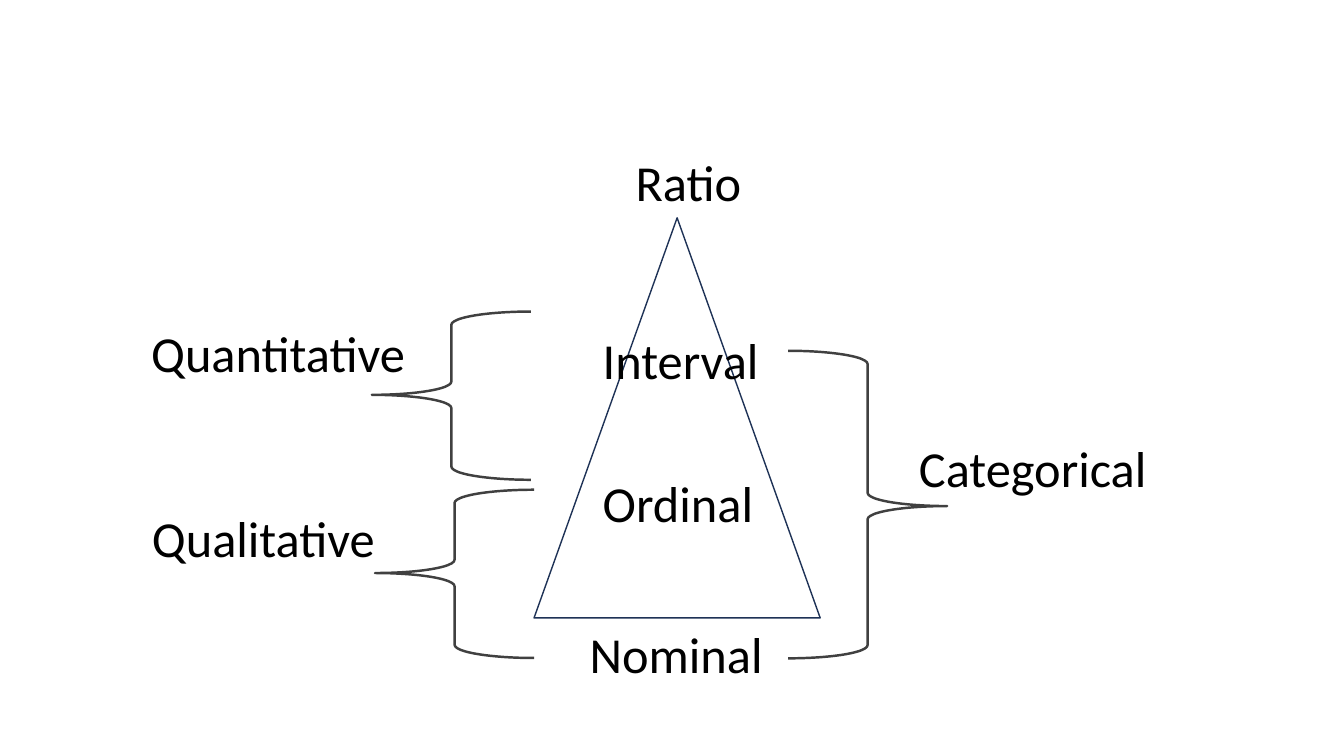
import pptx
import pptx.dml.color
import pptx.enum.shapes
import pptx.enum.text
import pptx.util

Cm = pptx.util.Cm
SHAPES = pptx.enum.shapes.MSO_SHAPE
LABEL_HEIGHT = 1.8
LEVEL_WIDTH = 4.93


def color(hex_string):
    return pptx.dml.color.RGBColor.from_string(hex_string)


def add_outline(group, kind, box, line_color, line_width):
    shape = group.shapes.add_shape(kind, *(Cm(length) for length in box))
    shape.shadow.inherit = False
    shape.fill.background()
    shape.line.color.rgb = color(line_color)
    shape.line.width = pptx.util.Pt(line_width)
    return shape


def add_label(group, text, left, top, width):
    label = group.shapes.add_textbox(Cm(left), Cm(top), Cm(width), Cm(LABEL_HEIGHT))
    frame = label.text_frame
    frame.word_wrap = True
    frame.auto_size = pptx.enum.text.MSO_AUTO_SIZE.SHAPE_TO_FIT_TEXT
    paragraph = frame.paragraphs[0]
    paragraph.text = text
    paragraph.font.name = "Calibri"
    paragraph.font.size = pptx.util.Pt(36)
    paragraph.font.color.rgb = color("000000")


def add_level_triangle(group, box):
    """Draw the triangle in the box, with the measurement levels from apex to base."""
    left, top, _, height = box
    add_outline(group, SHAPES.ISOSCELES_TRIANGLE, box, "1E3256", 1)
    levels = (
        ("Ratio", 2.31, -LABEL_HEIGHT),
        ("Interval", 1.48, 2.69),
        ("Ordinal", 1.48, 6.27),
        ("Nominal", 1.15, height),
    )
    for text, across, down in levels:
        add_label(group, text, left + across, top + down, LEVEL_WIDTH)


def add_data_type(group, box, text, across, down, label_width, rotation=0):
    """Draw a brace in the box and its label, offset from the box's corner."""
    left, top, _, _ = box
    brace = add_outline(group, SHAPES.RIGHT_BRACE, box, "404040", 1.75)
    brace.adjustments[0] = 0.083
    brace.adjustments[1] = 0.505
    brace.rotation = rotation
    add_label(group, text, left + across, top + down, label_width)


def main():
    presentation = pptx.Presentation()
    presentation.slide_width = Cm(33.87)
    presentation.slide_height = Cm(19.05)
    slide = presentation.slides.add_slide(presentation.slide_layouts[6])
    diagram = slide.shapes.add_group_shape()

    add_level_triangle(diagram, (13.46, 5.49, 7.21, 10.08))
    add_data_type(diagram, (19.86, 8.84, 4.01, 7.75), "Categorical", 3.05, 2.06, 6.68)
    add_data_type(diagram, (9.45, 12.34, 4.01, 4.24), "Qualitative", -5.87, 0.31, 6.68, 180)
    add_data_type(diagram, (9.37, 7.85, 4.01, 4.24), "Quantitative", -5.81, 0.15, 7.09, 180)

    presentation.save("out.pptx")


if __name__ == "__main__":
    main()
